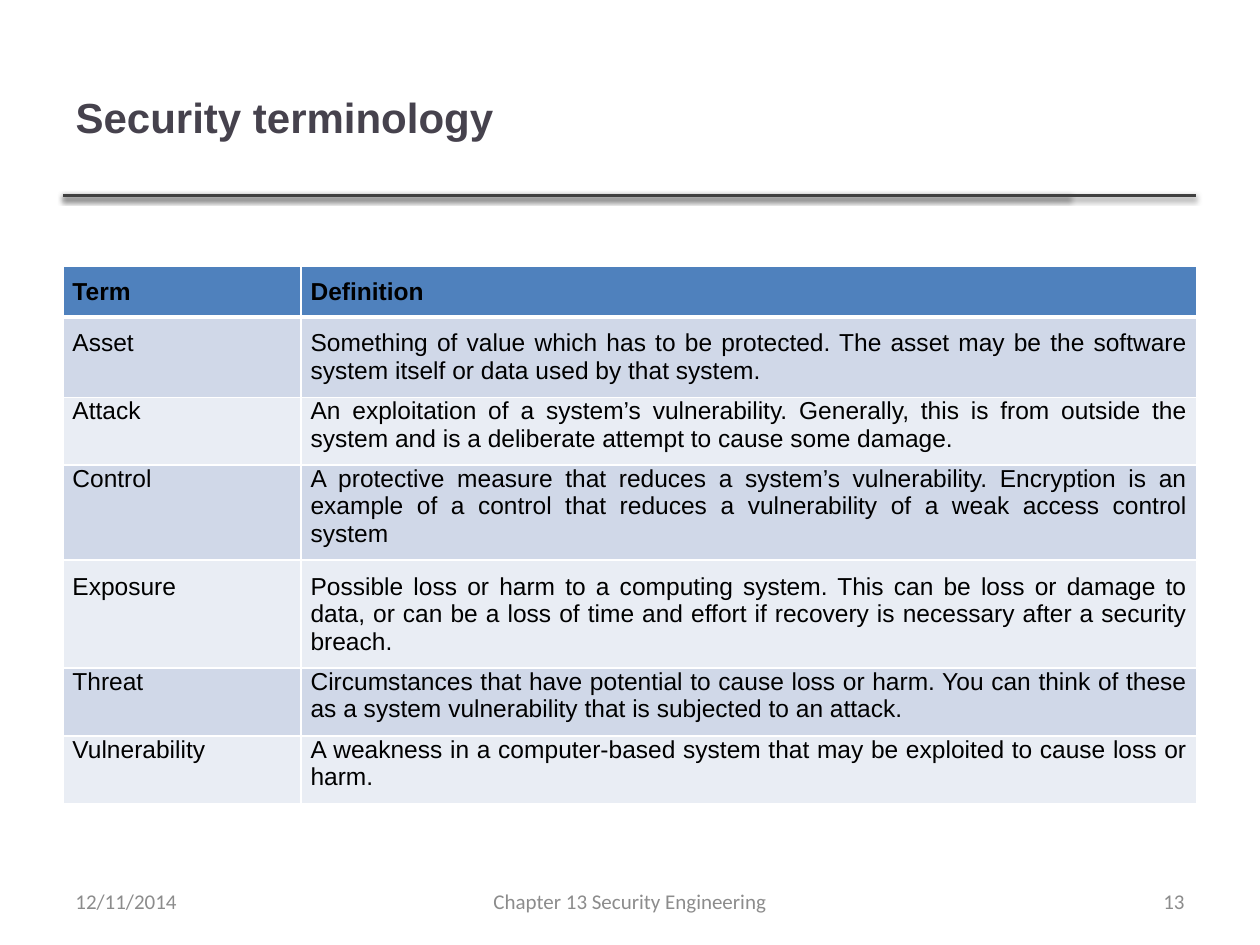
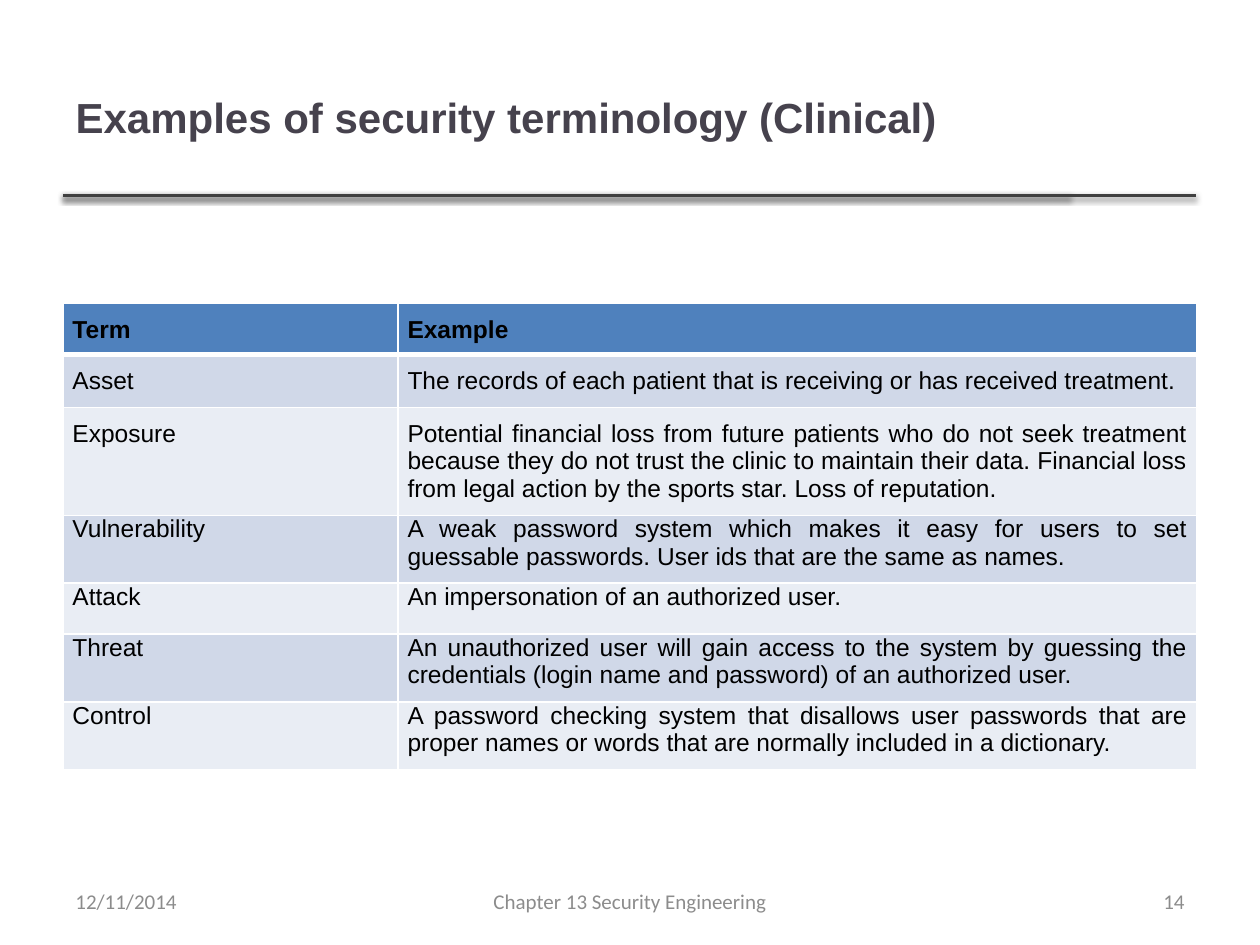
from lxml import etree
from pptx import Presentation
from pptx import util as u
from pptx.dml.color import RGBColor
from pptx.enum import shapes, text
from pptx.oxml import ns

COLORS = {
    "title": "46424D",
    "rule": "404040",
    "shadow": "000000",
    "footer": "8C8C8C",
    "cell_text": "000000",
    "header": "4F81BD",
    "odd_row": "D0D8E8",
    "even_row": "E9EDF4",
    "border": "FFFFFF",
}
LEFT, WIDTH = 36, 648
ROW_HEIGHT = 29.2
CELL_PADDING = 7.2
TITLE_BOX = (LEFT, 21.6, 574.6, 90)
RULE_Y = 111.6
RULE_ENDS = (611.3, 683.3)
FOOTER_TOP, FOOTER_HEIGHT = 500.4, 28.8
DATE = "12/11/2014"
CHAPTER = "Chapter 13 Security Engineering"
TOP_PADDED_TERMS = {"Term", "Asset", "Exposure"}

SLIDES = [
    {
        "title": "Security terminology",
        "number": 13,
        "table_box": (LEFT, 151.9, WIDTH, 321.8),
        "term_width": 136.1,
        "rows": [
            ("Term", "Definition"),
            ("Asset", "Something of value which has to be protected. The asset may be "
                      "the software system itself or data used by that system."),
            ("Attack", "An exploitation of a system’s vulnerability. Generally, this is "
                       "from outside the system and is a deliberate attempt to cause "
                       "some damage."),
            ("Control", "A protective measure that reduces a system’s vulnerability. "
                        "Encryption is an example of a control that reduces a "
                        "vulnerability of a weak access control system"),
            ("Exposure", "Possible loss or harm to a computing system. This can be loss "
                         "or damage to data, or can be a loss of time and effort if "
                         "recovery is necessary after a security breach."),
            ("Threat", "Circumstances that have potential to cause loss or harm. You can "
                       "think of these as a system vulnerability that is subjected to an "
                       "attack."),
            ("Vulnerability", "A weakness in a computer-based system that may be "
                              "exploited to cause loss or harm."),
        ],
    },
    {
        "title": "Examples of security terminology (Clinical)",
        "number": 14,
        "table_box": (LEFT, 173.5, WIDTH, 276.5),
        "term_width": 191.5,
        "rows": [
            ("Term", "Example"),
            ("Asset", "The records of each patient that is receiving or has received "
                      "treatment."),
            ("Exposure", "Potential financial loss from future patients who do not seek "
                         "treatment because they do not trust the clinic to maintain "
                         "their data. Financial loss from legal action by the sports "
                         "star. Loss of reputation."),
            ("Vulnerability", "A weak password system which makes it easy for users to "
                              "set guessable passwords. User ids that are the same as "
                              "names."),
            ("Attack", "An impersonation of an authorized user."),
            ("Threat", "An unauthorized user will gain access to the system by guessing "
                       "the credentials (login name and password) of an authorized "
                       "user."),
            ("Control", "A password checking system that disallows user passwords that "
                        "are proper names or words that are normally included in a "
                        "dictionary."),
        ],
    },
]


def rgb(name):
    return RGBColor.from_string(COLORS[name])


def points(values):
    return [u.Pt(value) for value in values]


def add_child(parent, tag, **attributes):
    child = etree.SubElement(parent, ns.qn(tag))
    for name, value in attributes.items():
        child.set(name, str(value))
    return child


def write(frame, content, size, color, align, font="Arial", bold=False):
    paragraph = frame.paragraphs[0]
    paragraph.alignment = align
    run = paragraph.add_run()
    run.text = content
    run.font.name = font
    run.font.size = u.Pt(size)
    run.font.bold = bold
    run.font.color.rgb = rgb(color)


def add_title(slide, content, box):
    title = slide.shapes.title
    title.left, title.top, title.width, title.height = points(box)
    frame = title.text_frame
    frame.auto_size = text.MSO_AUTO_SIZE.NONE
    frame.vertical_anchor = text.MSO_ANCHOR.MIDDLE
    write(frame, content, 24, "title", text.PP_ALIGN.LEFT, bold=True)


def add_title_rule(slide, left, y):
    """Draw the overlapping shadowed lines below the title."""
    for right in RULE_ENDS:
        rule = slide.shapes.add_connector(
            shapes.MSO_CONNECTOR.STRAIGHT, *points((left, y, right, y)))
        rule.line.color.rgb = rgb("rule")
        rule.line.width = u.Pt(2)
        effects = add_child(rule.element.spPr, "a:effectLst")
        shadow = add_child(effects, "a:outerShdw", blurRad=u.Pt(3.1), dist=u.Pt(1.6),
                           dir=90 * 60000, rotWithShape=0)
        shade = add_child(shadow, "a:srgbClr", val=COLORS["shadow"])
        add_child(shade, "a:alpha", val=38000)


def add_footer(slide, number, top, height):
    parts = [
        (DATE, LEFT, 168, text.PP_ALIGN.LEFT),
        (CHAPTER, 246, 228, text.PP_ALIGN.CENTER),
        (str(number), 516, 168, text.PP_ALIGN.RIGHT),
    ]
    for content, left, width, align in parts:
        shape = slide.shapes.add_textbox(*points((left, top, width, height)))
        frame = shape.text_frame
        frame.word_wrap = True
        frame.vertical_anchor = text.MSO_ANCHOR.MIDDLE
        write(frame, content, 12, "footer", align, font="Calibri")


def set_borders(cell, is_header):
    """Leave the top edge of body cells to the bottom edge of the row above."""
    widths = {"a:lnL": 1, "a:lnR": 1}
    if is_header:
        widths["a:lnT"] = 1
    widths["a:lnB"] = 3 if is_header else 1
    properties = cell._tc.get_or_add_tcPr()
    for tag, width in widths.items():
        line = add_child(properties, tag, w=u.Pt(width))
        add_child(add_child(line, "a:solidFill"), "a:srgbClr", val=COLORS["border"])


def add_term_table(slide, rows, box, term_width):
    graphic = slide.shapes.add_table(len(rows), 2, *points(box))
    table = graphic.table
    table.columns[0].width = u.Pt(term_width)
    table.columns[1].width = u.Pt(box[2] - term_width)
    for row_index, row in enumerate(rows):
        table.rows[row_index].height = u.Pt(ROW_HEIGHT)
        is_header = row_index == 0
        fill = "header" if is_header else "odd_row" if row_index % 2 else "even_row"
        for column_index, content in enumerate(row):
            cell = table.cell(row_index, column_index)
            set_borders(cell, is_header)
            cell.fill.solid()
            cell.fill.fore_color.rgb = rgb(fill)
            cell.margin_left = cell.margin_right = u.Pt(5.4)
            cell.margin_top = u.Pt(CELL_PADDING if row[0] in TOP_PADDED_TERMS else 0)
            cell.margin_bottom = u.Pt(0 if is_header else CELL_PADDING)
            write(cell.text_frame, content, 14, "cell_text",
                  text.PP_ALIGN.JUSTIFY, bold=is_header)
    graphic.height = u.Pt(box[3])


def add_terminology_slide(presentation, content):
    slide = presentation.slides.add_slide(presentation.slide_layouts[5])
    add_title_rule(slide, LEFT, RULE_Y)
    add_title(slide, content["title"], TITLE_BOX)
    add_term_table(slide, content["rows"], content["table_box"], content["term_width"])
    add_footer(slide, content["number"], FOOTER_TOP, FOOTER_HEIGHT)


def main():
    presentation = Presentation()
    presentation.slide_width = u.Pt(720)
    presentation.slide_height = u.Pt(540)
    for content in SLIDES:
        add_terminology_slide(presentation, content)
    presentation.save("out.pptx")


if __name__ == "__main__":
    main()
